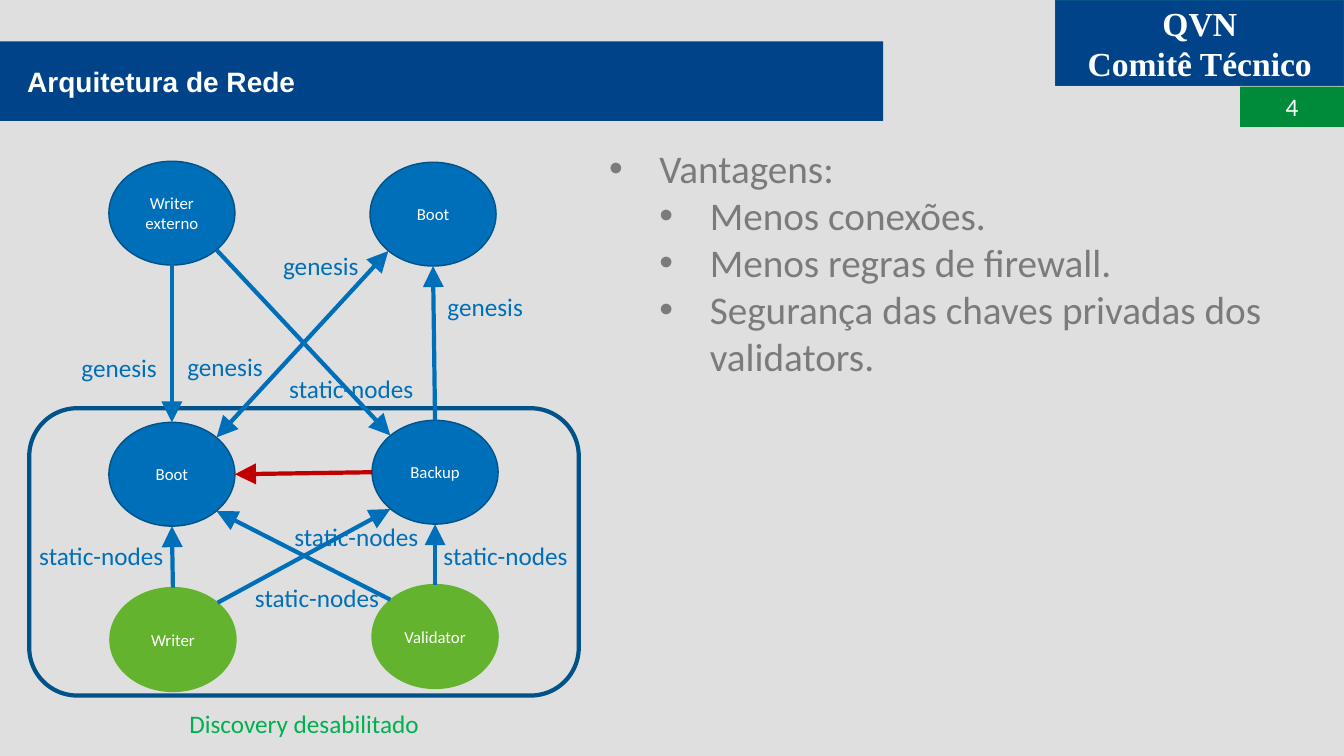
"""Build the network architecture slide with its node diagram and list of advantages."""
from lxml import etree
from pptx import Presentation
from pptx.dml.color import RGBColor
from pptx.enum.shapes import MSO_CONNECTOR, MSO_SHAPE
from pptx.enum.text import MSO_ANCHOR, MSO_AUTO_SIZE, PP_ALIGN
from pptx.oxml.ns import qn
from pptx.util import Inches, Pt

RECT, OVAL, ROUND = MSO_SHAPE.RECTANGLE, MSO_SHAPE.OVAL, MSO_SHAPE.ROUNDED_RECTANGLE
STRAIGHT = MSO_CONNECTOR.STRAIGHT
LEFT, CENTER = PP_ALIGN.LEFT, PP_ALIGN.CENTER
MIDDLE, TOP = MSO_ANCHOR.MIDDLE, MSO_ANCHOR.TOP
NO_FIT = MSO_AUTO_SIZE.NONE

BACK = RGBColor(0xDF, 0xDF, 0xDF)
NAVY = RGBColor(0x00, 0x43, 0x89)
EDGE = RGBColor(0x00, 0x52, 0x89)
BLUE = RGBColor(0x00, 0x6F, 0xB9)
LIME = RGBColor(0x63, 0xB3, 0x2E)
GREEN = RGBColor(0x00, 0x8B, 0x3A)
MINT = RGBColor(0x00, 0xB0, 0x50)
RED = RGBColor(0xC0, 0x00, 0x00)
GRAY = RGBColor(0x7B, 0x7B, 0x7B)
WHITE = RGBColor(0xFF, 0xFF, 0xFF)

prs = Presentation()
prs.slide_width, prs.slide_height = Inches(13.33), Inches(7.5)
slide = prs.slides.add_slide(prs.slide_layouts[1])
shapes = slide.shapes
slide.background.fill.solid()
slide.background.fill.fore_color.rgb = BACK


def write(shape, text, size, color, font="Calibri", bold=False, align=CENTER, anchor=MIDDLE):
    frame = shape.text_frame
    frame.text = text
    frame.vertical_anchor = anchor
    for para in frame.paragraphs:
        para.alignment = align
        for run in para.runs:
            run.font.name, run.font.size, run.font.bold = font, Pt(size), bold
            run.font.color.rgb = color


def draw(kind, box, fill, line, width=1):
    shape = shapes.add_shape(kind, *map(Inches, box))
    shape.shadow.inherit = False
    if fill is None:
        shape.fill.background()
    else:
        shape.fill.solid()
        shape.fill.fore_color.rgb = fill
    shape.line.color.rgb = line
    shape.line.width = Pt(width)
    return shape


title = shapes.title
title.left, title.top, title.width, title.height = map(Inches, (0, 0.41, 8.76, 0.79))
title.fill.solid()
title.fill.fore_color.rgb = NAVY
title.text_frame.margin_left = Inches(0.27)
title.text_frame.auto_size = NO_FIT
write(title, "Arquitetura de Rede", 20, WHITE, "Arial", True, LEFT)

body = slide.placeholders[1]
body.left, body.top, body.width, body.height = map(Inches, (5.94, 1.38, 6.98, 5.92))
items = [
    "Vantagens:",
    "Menos conexões.",
    "Menos regras de firewall.",
    "Segurança das chaves privadas dos validators.",
]
body.text_frame.auto_size = NO_FIT
write(body, "\n".join(items), 28, GRAY, align=LEFT, anchor=TOP)
for i, para in enumerate(body.text_frame.paragraphs):
    para.level = min(i, 1)
    para.space_before = para.space_after = Pt(0)
    para.line_spacing = 1.0
    props = para._p.get_or_add_pPr()
    props.set("marL", str(Inches(0.5 + 0.5 * para.level)))
    props.set("indent", str(Inches(-0.5)))
    etree.SubElement(props, qn("a:buFont")).set("typeface", "Arial")
    etree.SubElement(props, qn("a:buChar")).set("char", "•")

page = draw(RECT, (12.3, 0.86, 1.03, 0.4), GREEN, GREEN)
page.line.fill.background()
write(page, "4", 18, WHITE)
header = draw(RECT, (10.47, 0, 2.86, 0.85), NAVY, EDGE)
write(header, "QVN\nComitê Técnico", 24, WHITE, "Times New Roman", True)

draw(ROUND, (0.29, 4.05, 5.45, 2.85), None, EDGE, 3)

WIDE, HIGH = 1.25, 1.03
nodes = {
    (0, 0): ("Writer externo", 1.08, 1.6, BLUE, EDGE),
    (1, 0): ("Boot", 3.67, 1.61, BLUE, EDGE),
    (0, 1): ("Boot", 1.08, 4.19, BLUE, EDGE),
    (1, 1): ("Backup", 3.69, 4.17, BLUE, EDGE),
    (0, 2): ("Writer", 1.09, 5.83, LIME, LIME),
    (1, 2): ("Validator", 3.69, 5.8, LIME, LIME),
}
for name, x, y, fill, line in nodes.values():
    write(draw(OVAL, (x, y, WIDE, HIGH), fill, line), name, 12, WHITE)

links = [
    ((0, 0), (0, 1), BLUE, False),
    ((0, 0), (1, 1), BLUE, False),
    ((0, 1), (1, 0), BLUE, True),
    ((1, 1), (1, 0), BLUE, False),
    ((1, 1), (0, 1), RED, False),
    ((0, 2), (0, 1), BLUE, False),
    ((0, 2), (1, 1), BLUE, False),
    ((1, 2), (0, 1), BLUE, False),
    ((1, 2), (1, 1), BLUE, False),
]
for start, end, color, both in links:
    dx, dy = end[0] - start[0], end[1] - start[1]
    reach = 0.71 if dx and dy else 1
    ends = []
    for spot, sign in ((start, reach), (end, -reach)):
        x, y = nodes[spot][1:3]
        ends += [x + WIDE / 2 * (1 + sign * dx), y + HIGH / 2 * (1 + sign * dy)]
    link = shapes.add_connector(STRAIGHT, *map(Inches, ends))
    link.line.color.rgb = color
    link.line.width = Pt(3)
    stroke = link.line._get_or_add_ln()
    for tag in ("a:headEnd", "a:tailEnd") if both else ("a:tailEnd",):
        tip = etree.SubElement(stroke, qn(tag))
        for key, value in (("type", "triangle"), ("w", "lg"), ("len", "lg")):
            tip.set(key, value)
    etree.SubElement(link._element.spPr, qn("a:effectLst"))

labels = [
    ("genesis", 0.96, BLUE, [(2.71, 2.43), (4.34, 2.84), (0.71, 3.45), (1.76, 3.44)]),
    ("static-nodes", 1.45, BLUE,
     [(2.77, 3.65), (2.82, 5.12), (0.29, 5.31), (4.3, 5.31), (2.43, 5.73)]),
    ("Discovery desabilitado", 2.5, MINT, [(1.78, 6.98)]),
]
for text, width, color, spots in labels:
    for x, y in spots:
        label = shapes.add_textbox(*map(Inches, (x, y, width, 0.4)))
        label.text_frame.word_wrap = False
        write(label, text, 18, color, align=LEFT, anchor=TOP)

prs.save("out.pptx")
